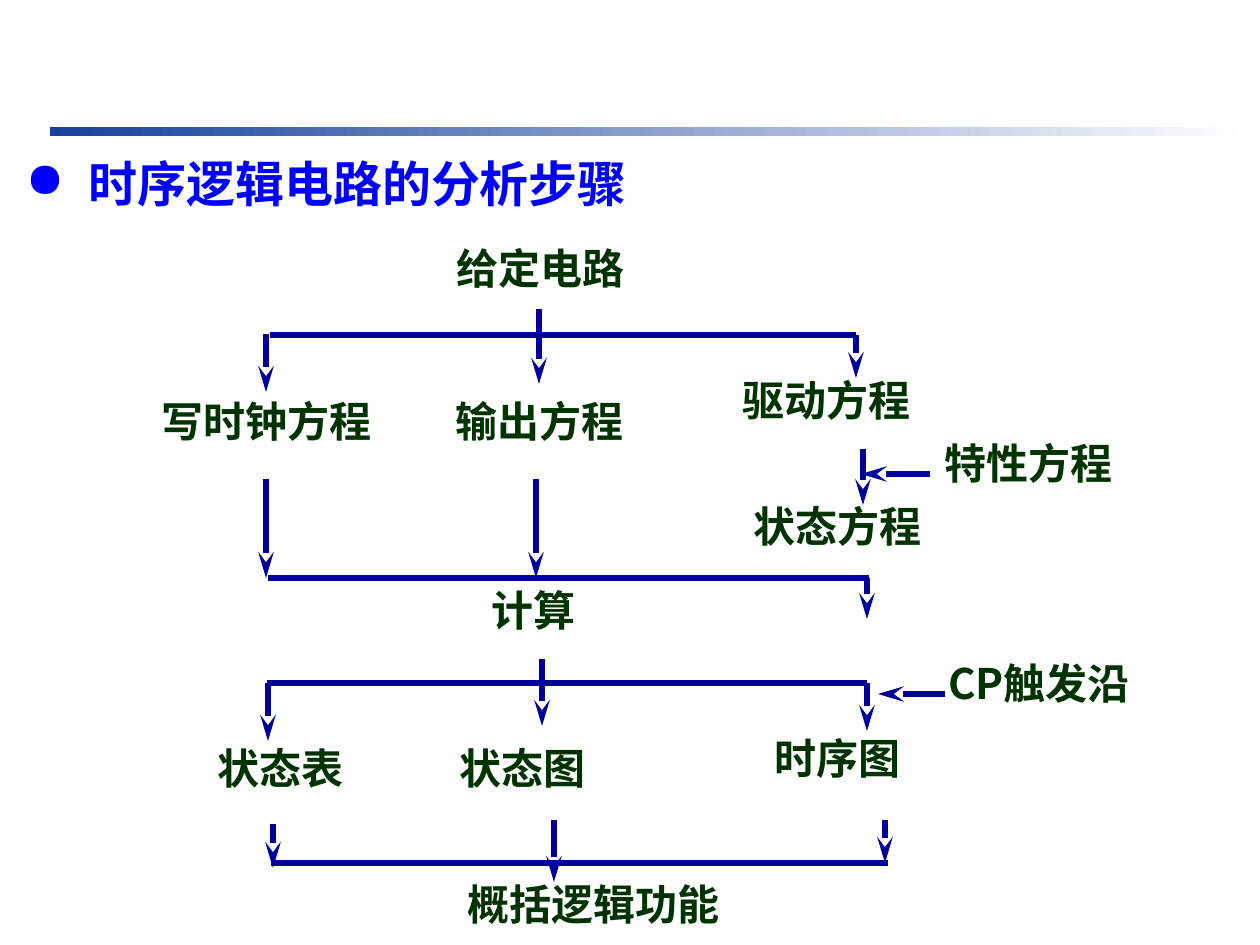
from lxml.etree import SubElement
from pptx import Presentation
from pptx.dml.color import RGBColor
from pptx.enum.shapes import MSO_CONNECTOR as Connector, MSO_SHAPE as Shape
from pptx.enum.text import MSO_ANCHOR as Anchor, MSO_AUTO_SIZE as AutoSize, PP_ALIGN as Align
from pptx.oxml.ns import qn
from pptx.util import Pt

EMU_PER_PX = 914400 / 126
FONT = "Noto Sans CJK SC"
WHITE, BLUE, NAVY, GREEN, BAR_BLUE = "FFFFFF", "0000FF", "000099", "003300", "16429A"
CENTER, JUSTIFY = Align.CENTER, Align.JUSTIFY

# text, left, top, width, height, alignment
STEPS = [
    ("给定电路", 378, 236, 326, 105, CENTER),
    ("写时钟方程", 79, 389, 375, 105, CENTER),
    ("输出方程", 394, 389, 291, 105, CENTER),
    ("驱动方程", 730, 368, 291, 105, JUSTIFY),
    ("特性方程", 932, 431, 260, 105, JUSTIFY),
    ("状态方程", 741, 494, 291, 105, JUSTIFY),
    ("计算", 479, 578, 158, 105, JUSTIFY),
    ("CP触发沿", 936, 651, 287, 105, JUSTIFY),
    ("状态表", 154, 736, 253, 105, CENTER),
    ("状态图", 447, 736, 241, 105, JUSTIFY),
    ("时序图", 762, 726, 231, 105, JUSTIFY),
    ("概括逻辑功能", 374, 872, 440, 84, CENTER),
]
# left, right, y
BUSES = [(270, 856, 335), (268, 869, 578), (267, 867, 683), (271, 888, 863)]
# x, top, bottom
DOWN_ARROWS = [
    (266, 334, 392), (539, 309, 384), (856, 335, 378),
    (266, 479, 578), (536, 479, 578), (863, 449, 505), (867, 578, 619),
    (268, 683, 741), (542, 659, 726), (867, 683, 731),
    (273, 824, 868), (554, 820, 882), (885, 820, 863),
]
# right, left, y
INPUT_ARROWS = [(930, 861, 474), (945, 878, 694)]


def px(length):
    return round(length * EMU_PER_PX)


def color(value):
    return RGBColor.from_string(value)


def add_run(paragraph, text, size, text_color):
    run = paragraph.add_run()
    run.text = text
    run.font.name = FONT
    run.font.size = Pt(size)
    run.font.bold = True
    run.font.color.rgb = color(text_color)
    SubElement(run._r.get_or_add_rPr(), qn("a:ea"), typeface=FONT)


def add_header_bar(slide):
    bar = slide.shapes.add_shape(Shape.RECTANGLE, px(50), px(127), px(1196), px(9))
    bar.shadow.inherit = False
    bar.line.fill.background()
    bar.fill.gradient()
    bar.fill.gradient_angle = 0
    for stop, stop_color in zip(bar.fill.gradient_stops, (BAR_BLUE, WHITE)):
        stop.color.rgb = color(stop_color)


def set_title(slide, text):
    title = slide.shapes.title
    title.left, title.top, title.width, title.height = px(13), px(135), px(920), px(78)
    title.fill.solid()
    title.fill.fore_color.rgb = color(WHITE)
    frame = title.text_frame
    frame.auto_size = AutoSize.NONE
    frame.word_wrap = True
    frame.vertical_anchor = Anchor.TOP
    paragraph = frame.paragraphs[0]
    paragraph.alignment = Align.LEFT
    paragraph.line_spacing = 1.2
    paragraph.space_before = Pt(0)
    paragraph.space_after = Pt(3)
    properties = paragraph._p.get_or_add_pPr()
    properties.set("marL", str(px(63)))
    properties.set("indent", str(px(-63)))
    SubElement(properties, qn("a:buChar"), char="●")
    add_run(paragraph, text, 28, BLUE)


def add_step(slide, text, left, top, width, height, alignment):
    box = slide.shapes.add_textbox(px(left), px(top), px(width), px(height))
    box.text_frame.word_wrap = True
    paragraph = box.text_frame.paragraphs[0]
    paragraph.alignment = alignment
    add_run(paragraph, text, 24, GREEN)


def add_line(slide, x1, y1, x2, y2, arrow=False):
    line = slide.shapes.add_connector(Connector.STRAIGHT, px(x1), px(y1), px(x2), px(y2))
    line.line.color.rgb = color(NAVY)
    line.line.width = Pt(3)
    if arrow:
        SubElement(line.line._get_or_add_ln(), qn("a:tailEnd"),
                   type="stealth", w="med", len="lg")
    SubElement(line._element.spPr, qn("a:effectLst"))


def main():
    deck = Presentation()
    deck.slide_width, deck.slide_height = px(1260), px(945)
    slide = deck.slides.add_slide(deck.slide_layouts[5])
    add_header_bar(slide)
    set_title(slide, "时序逻辑电路的分析步骤")
    for step in STEPS:
        add_step(slide, *step)
    for left, right, y in BUSES:
        add_line(slide, left, y, right, y)
    for x, top, bottom in DOWN_ARROWS:
        add_line(slide, x, top, x, bottom, arrow=True)
    for right, left, y in INPUT_ARROWS:
        add_line(slide, right, y, left, y, arrow=True)
    deck.save("out.pptx")


if __name__ == "__main__":
    main()
